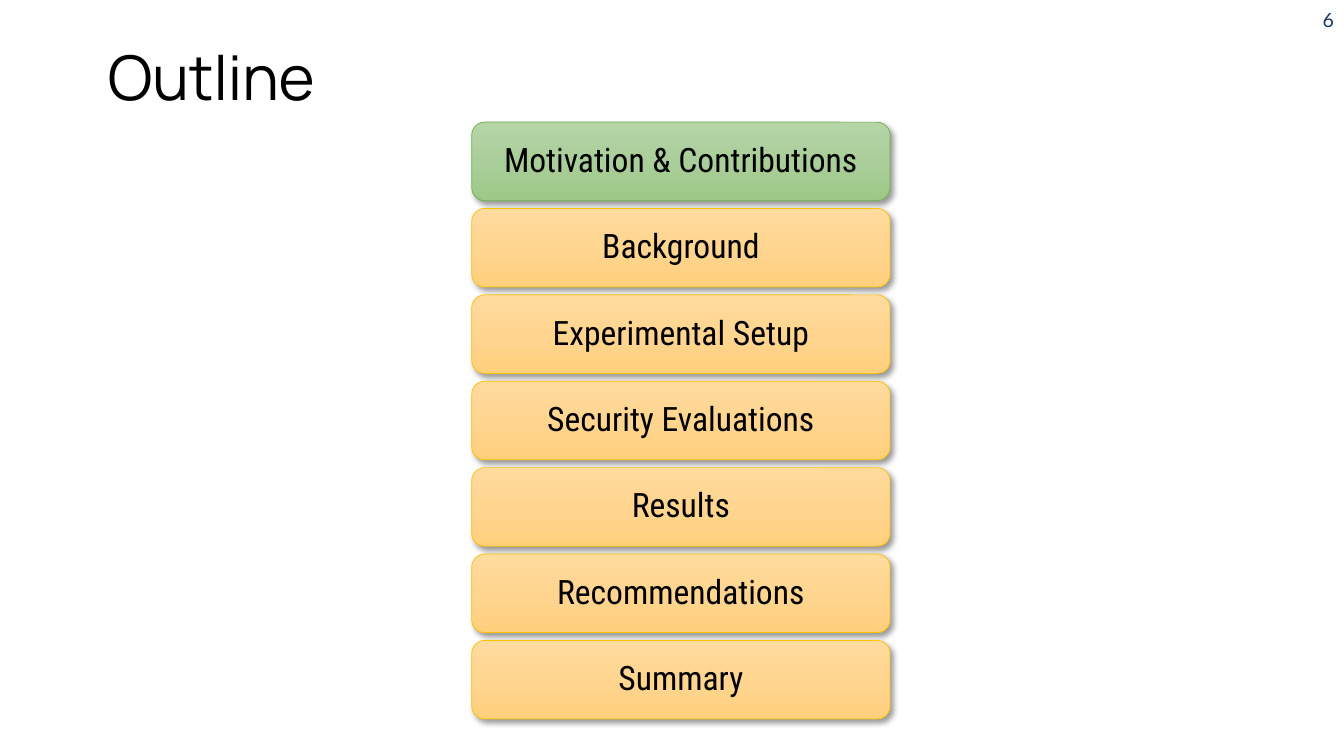
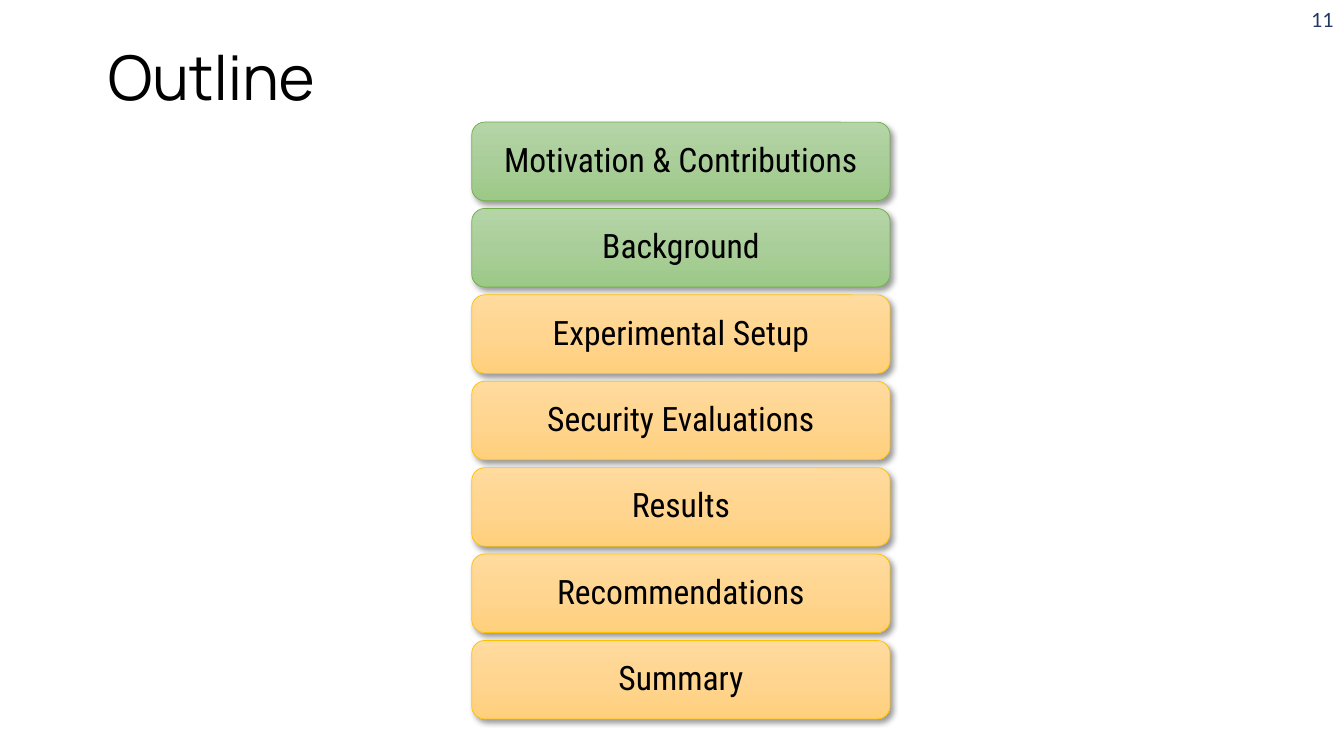
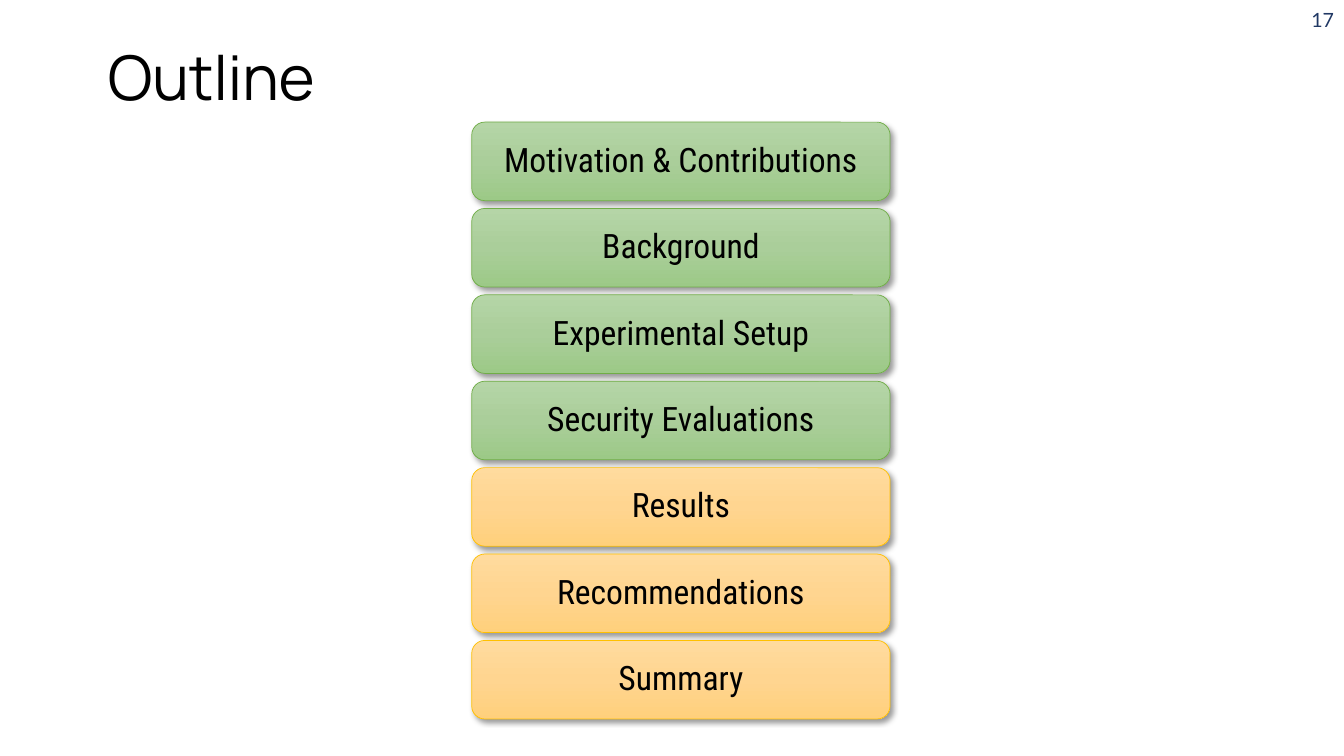
from copy import deepcopy
from pptx import Presentation
from pptx.dml.color import RGBColor
from pptx.enum.shapes import MSO_SHAPE as Preset
from pptx.enum.text import MSO_ANCHOR as Anchor, PP_ALIGN as Align
from pptx.oxml import parse_xml
from pptx.oxml.ns import nsdecls, qn
from pptx.util import Inches, Pt

BLACK = RGBColor(0x00, 0x00, 0x00)
NAVY = RGBColor(0x20, 0x38, 0x64)
GREEN_LINE = RGBColor(0x70, 0xAD, 0x47)
GREEN_TOP = RGBColor(0xB5, 0xD5, 0xA7)
GREEN_MIDDLE = RGBColor(0xAA, 0xCE, 0x9A)
GREEN_BOTTOM = RGBColor(0x9C, 0xC9, 0x87)
AMBER_LINE = RGBColor(0xFF, 0xC0, 0x00)
AMBER_TOP = RGBColor(0xFF, 0xDB, 0x9E)
AMBER_MIDDLE = RGBColor(0xFF, 0xD5, 0x90)
AMBER_BOTTOM = RGBColor(0xFF, 0xD0, 0x7C)

REACHED = {"line": GREEN_LINE, "stops": (GREEN_TOP, GREEN_MIDDLE, GREEN_BOTTOM)}
AHEAD = {"line": AMBER_LINE, "stops": (AMBER_TOP, AMBER_MIDDLE, AMBER_BOTTOM)}

TITLE_STYLE = {
    "font": {"name": "Manrope", "size": Pt(44)},
    "para": {"alignment": Align.LEFT, "line_spacing": 0.9},
    "color": BLACK,
}
TOPIC_STYLE = {
    "font": {"name": "Roboto Condensed", "size": Pt(24)},
    "para": {"alignment": Align.CENTER, "line_spacing": 0.9},
    "color": BLACK,
}
NUMBER_STYLE = {
    "font": {"name": "Lato", "size": Pt(14)},
    "para": {"alignment": Align.RIGHT},
    "color": NAVY,
}

TOPICS = [
    "Motivation & Contributions",
    "Background",
    "Experimental Setup",
    "Security Evaluations",
    "Results",
    "Recommendations",
    "Summary",
]
PAGES = [("6", 1), ("11", 2), ("17", 4)]

TITLE_AREA = (7.28, 0.4, 85.5, 20.4)
NUMBER_AREA = (77.5, 0, 22.5, 5.33)
LIST_LEFT, LIST_TOP, LIST_WIDTH, LIST_HEIGHT = 35.1, 16.15, 31.13, 78.95
GAP_SHARE = 0.1
BOX_HEIGHT = LIST_HEIGHT / (len(TOPICS) * (1 + GAP_SHARE) - GAP_SHARE)
ROW_HEIGHT = BOX_HEIGHT * (1 + GAP_SHARE)

SHADOW = (
    f'<a:outerShdw {nsdecls("a")} blurRad="{Pt(4)}" dist="{Pt(3)}" dir="2700000" '
    'algn="tl" rotWithShape="0"><a:srgbClr val="000000"><a:alpha val="40000"/>'
    "</a:srgbClr></a:outerShdw>"
)

deck = Presentation()
deck.slide_width = Inches(13.33)
deck.slide_height = Inches(7.5)


def place(left, top, width, height):
    across, down = deck.slide_width / 100, deck.slide_height / 100
    return [round(n) for n in (left * across, top * down, width * across, height * down)]


def write(box, text, style):
    frame = box.text_frame
    frame.word_wrap = True
    frame.vertical_anchor = Anchor.MIDDLE
    para = frame.paragraphs[0]
    span = para.add_run()
    span.text = text
    for target, values in ((para, style["para"]), (span.font, style["font"])):
        for name, value in values.items():
            setattr(target, name, value)
    span.font.color.rgb = style["color"]


for number, reached in PAGES:
    page = deck.slides.add_slide(deck.slide_layouts[6])
    write(page.shapes.add_textbox(*place(*TITLE_AREA)), "Outline", TITLE_STYLE)

    for row, topic in enumerate(TOPICS):
        look = REACHED if row < reached else AHEAD
        area = place(LIST_LEFT, LIST_TOP + row * ROW_HEIGHT, LIST_WIDTH, BOX_HEIGHT)
        box = page.shapes.add_shape(Preset.ROUNDED_RECTANGLE, *area)
        box.fill.gradient()
        box.fill.gradient_angle = 270
        properties = box._element.spPr
        stop_list = properties.find(".//" + qn("a:gsLst"))
        stop_list.insert(1, deepcopy(stop_list[0]))
        for step, stop in enumerate(box.fill.gradient_stops):
            stop.position = step / 2
            stop.color.rgb = look["stops"][step]
        box.line.color.rgb = look["line"]
        box.line.width = Pt(0.5)
        box.shadow.inherit = False
        properties.find(qn("a:effectLst")).append(parse_xml(SHADOW))
        write(box, topic, TOPIC_STYLE)

    write(page.shapes.add_textbox(*place(*NUMBER_AREA)), number, NUMBER_STYLE)

deck.save("out.pptx")
